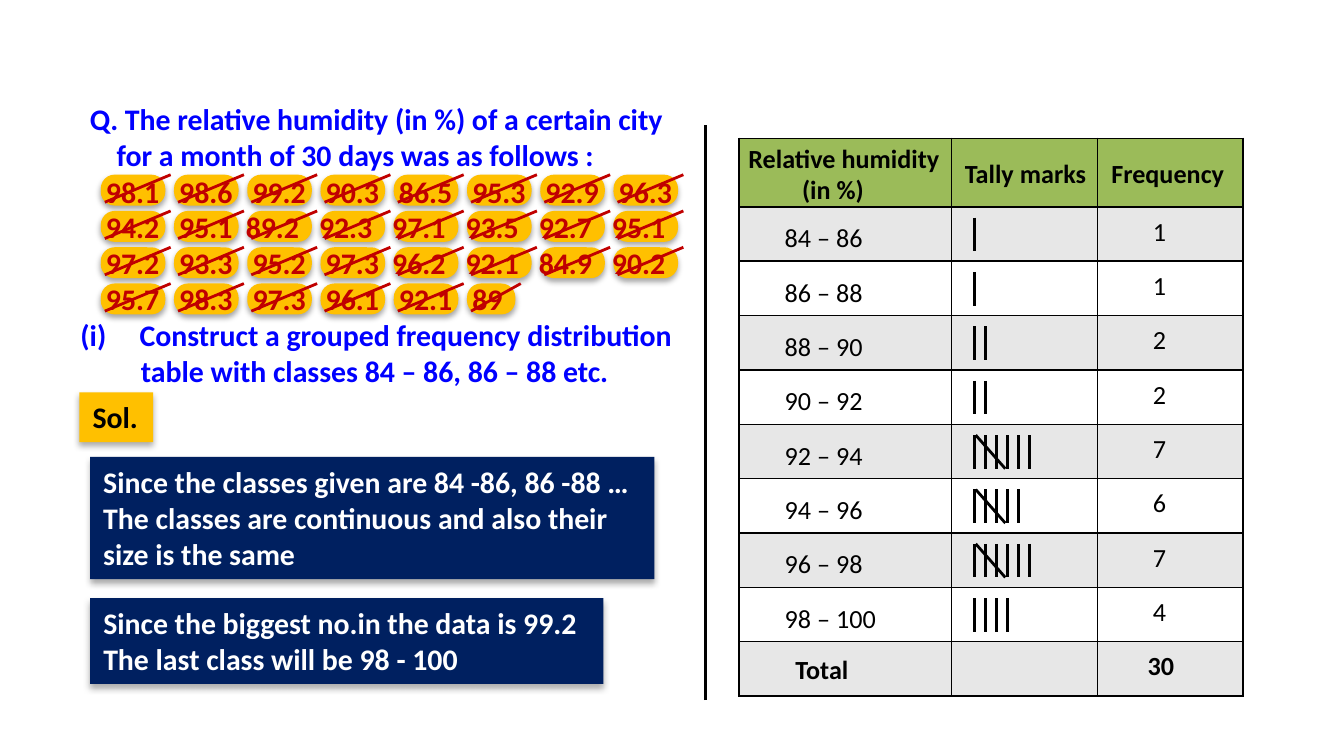
from lxml import etree
from pptx import Presentation
from pptx.dml.color import RGBColor
from pptx.enum.shapes import MSO_CONNECTOR, MSO_SHAPE
from pptx.enum.text import MSO_ANCHOR, PP_ALIGN
from pptx.oxml.ns import qn
from pptx.util import Inches, Pt

RECT, PILL = MSO_SHAPE.RECTANGLE, MSO_SHAPE.ROUNDED_RECTANGLE
STRAIGHT = MSO_CONNECTOR.STRAIGHT
TOP, LEFT = MSO_ANCHOR.TOP, PP_ALIGN.LEFT

COLS, ROWS = 100, 56.25
CELL = Inches(10) / COLS
BLUE, RED, AMBER, NAVY = "0000FF", "C00000", "FFC000", "002060"
BLACK, WHITE, GREEN, GREY = "000000", "FFFFFF", "9BBB59", "E7E7E7"

HUMIDITY = [
    ["98.1", "98.6", "99.2", "90.3", "86.5", "95.3", "92.9", "96.3"],
    ["94.2", "95.1", "89.2", "92.3", "97.1", "93.5", "92.7", "95.1"],
    ["97.2", "93.3", "95.2", "97.3", "96.2", "92.1", "84.9", "90.2"],
    ["95.7", "98.3", "97.3", "96.1", "92.1", "89"],
]
TIGHT_FROM = [8, 2, 4, 8]
CLASSES = [("84 – 86", 1), ("86 – 88", 1), ("88 – 90", 2), ("90 – 92", 2),
           ("92 – 94", 7), ("94 – 96", 6), ("96 – 98", 7), ("98 – 100", 4)]


def rgb(color):
    return RGBColor.from_string(color)


def grid(*lengths):
    return [round(n * CELL) for n in lengths]


def sub(parent, tag, **attrs):
    return etree.SubElement(parent, qn(tag), {k: str(v) for k, v in attrs.items()})


def write(sp, lines, size, color, bold=True, wrap=True):
    tf = sp.text_frame
    tf.word_wrap = wrap
    tf.vertical_anchor = TOP
    tf.text = "\n".join(lines)
    for p in tf.paragraphs:
        p.alignment = LEFT
        for r in p.runs:
            r.font.name, r.font.size, r.font.bold = "Calibri", Pt(size), bold
            r.font.color.rgb = rgb(color)
    return tf.paragraphs


def add_text(slide, box, lines, size, color, bold=True):
    sp = slide.shapes.add_textbox(*grid(*box))
    return write(sp, lines, size, color, bold)


def indent(p, margin, hanging=0):
    pPr = p._p.get_or_add_pPr()
    left, first = grid(margin, -hanging)
    pPr.set("marL", str(left))
    pPr.set("indent", str(first))
    return pPr


def add_line(slide, x1, y1, x2, y2, color=BLACK):
    line = slide.shapes.add_connector(STRAIGHT, *grid(x1, y1, x2, y2))
    line.line.color.rgb = rgb(color)
    line.line.width = Pt(1.5)
    sub(line._element.spPr, "a:effectLst")


def add_block(slide, kind, box, color, blur, dist, alpha):
    sp = slide.shapes.add_shape(kind, *grid(*box))
    sp.fill.solid()
    sp.fill.fore_color.rgb = rgb(color)
    sp.line.fill.background()
    effects = sub(sp._element.spPr, "a:effectLst")
    shadow = sub(effects, "a:outerShdw", blurRad=Pt(blur), dist=Pt(dist),
                 dir=5400000, rotWithShape=0)
    sub(sub(shadow, "a:srgbClr", val=BLACK), "a:alpha", val=alpha * 1000)
    return sp


def add_note(slide, box, lines, fill, color, wrap=True):
    sp = add_block(slide, RECT, box, fill, 3.5, 2.2, 32)
    write(sp, lines, 16, color, wrap=wrap)


def add_question(slide, x, y, w, h):
    lines = add_text(slide, (x + 0.7, y, w, 6.4), [
        "Q. The relative humidity (in %) of a certain city",
        "for a month of 30 days was as follows :"], 16, BLUE)
    indent(lines[1], 2)
    lines = add_text(slide, (x, y + h - 6.4, w + 4.6, 6.4), [
        "Construct a grouped frequency distribution",
        "table with classes 84 – 86, 86 – 88 etc."], 16, BLUE)
    sub(indent(lines[0], 4.4, 4.4), "a:buAutoNum", type="romanLcParenBoth")
    indent(lines[1], 4.5)


def add_readings(slide, x, y, w, h):
    step, pitch = 5.45, 2.7
    for row, values in enumerate(HUMIDITY):
        for col, value in enumerate(values):
            left, top = x + 0.6 + col * step, y + 0.6 + row * pitch
            width = 4.8 if len(value) > 2 else 3.6
            pill = add_block(slide, PILL, (left, top, width, 2.3), AMBER, 3.1, 1.8, 35)
            pill.adjustments[0] = 0.45
            add_line(slide, left + width + 0.4, top, left + 0.3, top + 2.05, RED)
    lines = add_text(slide, (x, y, w, h), ["\t".join(v) for v in HUMIDITY], 16, RED)
    for p, tight in zip(lines, TIGHT_FROM):
        tabs = sub(p._p.get_or_add_pPr(), "a:tabLst")
        for col in range(1, 8):
            stop = col * step - (0.5 if col >= tight else 0)
            sub(tabs, "a:tab", pos=grid(stop)[0], algn="l")


def add_solution(slide, x, y, w):
    add_note(slide, (x, y, 5.5, 3.7), ["Sol."], AMBER, BLACK, wrap=False)
    add_note(slide, (x + 0.8, y + 4.8, w, 9.1), [
        "Since the classes given are 84 -86, 86 -88 …",
        "The classes are continuous and also their size is the same"], NAVY, WHITE)
    add_note(slide, (x + 0.8, y + 15.3, w - 3.8, 6.4), [
        "Since the biggest no.in the data is 99.2",
        "The last class will be 98 - 100"], NAVY, WHITE)


def add_tally(slide, x, y, count):
    for mark in range(count - (count >= 5)):
        left = x + mark * 0.82
        add_line(slide, left, y, left, y + 2.5)
    if count >= 5:
        add_line(slide, x + 0.1, y, x + 2.3, y + 2.5)


def style_cell(cell, color):
    cell.margin_top = cell.margin_bottom = 0
    tcPr = cell._tc.get_or_add_tcPr()
    for side in ("a:lnL", "a:lnR", "a:lnT", "a:lnB"):
        fill = sub(sub(tcPr, side, w=Pt(1)), "a:solidFill")
        sub(fill, "a:srgbClr", val=BLACK)
    cell.fill.solid()
    cell.fill.fore_color.rgb = rgb(color)


def add_frequency_table(slide, x, y, w, h):
    head, pitch = 5.1, (h - 5.1) / 9
    table = slide.shapes.add_table(10, 3, *grid(x, y, w, h)).table
    for column, width in zip(table.columns, grid(15.8, 10.85, 10.85)):
        column.width = width
    for i, row in enumerate(table.rows):
        row.height = grid(pitch if i else head)[0]
        for cell in row.cells:
            style_cell(cell, (GREY if i % 2 else WHITE) if i else GREEN)

    title = add_text(slide, (x - 0.3, y - 0.2, 16.6, 5.7),
                     ["Relative humidity", "(in %)"], 14, BLACK)
    indent(title[1], 4)
    for left, label in ((15.8, "Tally marks"), (26.7, "Frequency")):
        add_text(slide, (x + left, y + 0.9, 13.1, 3.4), [label], 14, BLACK)

    for i, (label, count) in enumerate(CLASSES):
        top = y + head + i * pitch
        add_text(slide, (x + 2.4, top + 0.6, 11.2, 3.4), [label], 14, BLACK, False)
        add_text(slide, (x + 29.8, top + 0.1, 3.3, 3.4), [str(count)], 14, BLACK, False)
        add_tally(slide, x + 17.5, top + 0.8, count)
    bottom = y + h - pitch
    total = sum(count for _, count in CLASSES)
    add_text(slide, (x + 3.2, bottom + 0.4, 7.1, 3.4), ["Total"], 14, BLACK)
    add_text(slide, (x + 29.4, bottom + 0.1, 4.4, 3.4), [str(total)], 14, BLACK)


def main():
    prs = Presentation()
    prs.slide_width, prs.slide_height = grid(COLS, ROWS)
    slide = prs.slides.add_slide(prs.slide_layouts[6])
    add_question(slide, 5, 7, 46.2, 22.5)
    add_readings(slide, 6.9, 12.4, 46.1, 11.8)
    add_solution(slide, 5.9, 29.2, 42)
    add_line(slide, 52.5, 52.1, 52.5, 9.3)
    add_frequency_table(slide, 55, 10.3, 37.5, 41.5)
    prs.save("out.pptx")


if __name__ == "__main__":
    main()
